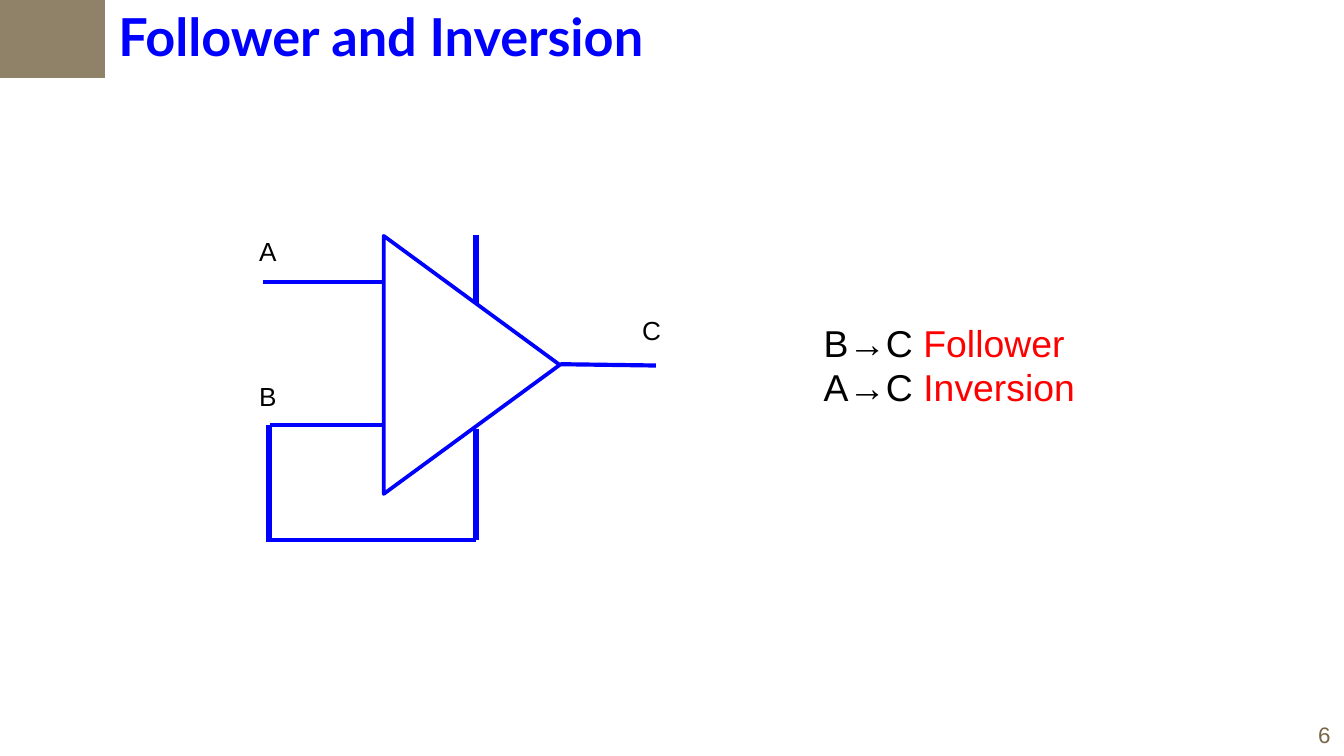
from typing import NamedTuple

from lxml.etree import SubElement
from pptx import Presentation
from pptx.dml.color import RGBColor
from pptx.enum.shapes import MSO_CONNECTOR, MSO_SHAPE
from pptx.enum.text import MSO_ANCHOR, MSO_AUTO_SIZE, PP_ALIGN
from pptx.oxml.ns import qn
from pptx.util import Inches, Pt

COLORS = {
    "blue": "0000FF",
    "red": "FF0000",
    "black": "000000",
    "taupe": "908269",
    "page": "786745",
}
THIN, THICK = 2.25, 3


class Wire(NamedTuple):
    x1: float
    y1: float
    x2: float
    y2: float
    weight: float


class Label(NamedTuple):
    text: str
    left: float
    top: float
    width: float
    height: float = 0.34
    size: float = 14
    color: str = "black"


# Node positions of the circuit
SUPPLY_X, FEEDBACK_X, INPUT_X = 3.54, 2.0, 2.86
A_Y, B_Y, FEEDBACK_Y = 2.1, 3.16, 4.02

WIRES = [
    Wire(4.17, 2.71, 4.88, 2.72, THIN),
    Wire(SUPPLY_X, 1.75, SUPPLY_X, 2.26, THICK),
    Wire(SUPPLY_X, 3.19, SUPPLY_X, FEEDBACK_Y, THICK),
    Wire(1.96, A_Y, INPUT_X, A_Y, THIN),
    Wire(2.01, B_Y, INPUT_X, B_Y, THIN),
    Wire(FEEDBACK_X, B_Y, FEEDBACK_X, 4.03, THICK),
    Wire(FEEDBACK_X, FEEDBACK_Y, SUPPLY_X, FEEDBACK_Y, THIN),
]
LABELS = [
    Label("A", 1.83, 1.7, 0.33),
    Label("B", 1.83, 2.78, 0.26),
    Label("C", 4.68, 2.29, 0.26),
    Label("6", 9.71, 5.32, 0.29, 0.3, 12, "page"),
]
PATHS = [("B→C ", "Follower"), ("A→C ", "Inversion")]


def rgb(name: str) -> RGBColor:
    return RGBColor.from_string(COLORS[name])


def style(font, size: float, color: str, face: str = "Arial") -> None:
    font.name = face
    font.size = Pt(size)
    font.color.rgb = rgb(color)


def draw_wire(slide, wire: Wire) -> None:
    ends = (Inches(value) for value in wire[:4])
    line = slide.shapes.add_connector(MSO_CONNECTOR.STRAIGHT, *ends)
    line.line.color.rgb = rgb("blue")
    line.line.width = Pt(wire.weight)
    SubElement(line._element.spPr, qn("a:effectLst"))


def draw_label(slide, label: Label) -> None:
    box = slide.shapes.add_textbox(*(Inches(value) for value in label[1:5]))
    box.text_frame.word_wrap = True
    paragraph = box.text_frame.paragraphs[0]
    paragraph.text = label.text
    style(paragraph.font, label.size, label.color)


def draw_title(slide, text: str) -> None:
    title = slide.shapes.title
    title.left, title.top = Inches(0.78), Inches(-0.02)
    title.width, title.height = Inches(4.52), Inches(0.57)
    frame = title.text_frame
    frame.text = text
    frame.word_wrap = False
    frame.auto_size = MSO_AUTO_SIZE.NONE
    frame.vertical_anchor = MSO_ANCHOR.TOP
    heading = frame.paragraphs[0]
    heading.alignment = PP_ALIGN.LEFT
    style(heading.font, 28, "blue", "Lato")
    heading.font.bold = True


def draw_corner(slide) -> None:
    corner = slide.shapes.add_shape(
        MSO_SHAPE.RECTANGLE, Inches(0), Inches(-0.02), Inches(0.78), Inches(0.6))
    corner.shadow.inherit = False
    corner.fill.solid()
    corner.fill.fore_color.rgb = rgb("taupe")
    corner.line.fill.background()


def draw_amplifier(slide) -> None:
    amplifier = slide.shapes.add_shape(
        MSO_SHAPE.ISOSCELES_TRIANGLE, Inches(2.55), Inches(2.06), Inches(1.92), Inches(1.31))
    amplifier.rotation = 90
    amplifier.shadow.inherit = False
    amplifier.fill.background()
    amplifier.line.color.rgb = rgb("blue")
    amplifier.line.width = Pt(2)


def draw_paths(slide) -> None:
    """List each signal path with its function in red."""
    box = slide.shapes.add_textbox(Inches(6.03), Inches(2.33), Inches(2.08), Inches(0.77))
    frame = box.text_frame
    frame.word_wrap = False
    for index, (route, function) in enumerate(PATHS):
        paragraph = frame.add_paragraph() if index else frame.paragraphs[0]
        for text, color in ((route, "black"), (function, "red")):
            run = paragraph.add_run()
            run.text = text
            style(run.font, 20, color)


def main() -> None:
    presentation = Presentation()
    presentation.slide_width = Inches(10)
    presentation.slide_height = Inches(10 * 9 / 16)
    slide = presentation.slides.add_slide(presentation.slide_layouts[5])
    draw_title(slide, "Follower and Inversion")
    draw_corner(slide)
    draw_amplifier(slide)
    for wire in WIRES:
        draw_wire(slide, wire)
    for label in LABELS:
        draw_label(slide, label)
    draw_paths(slide)
    presentation.save("out.pptx")


if __name__ == "__main__":
    main()
